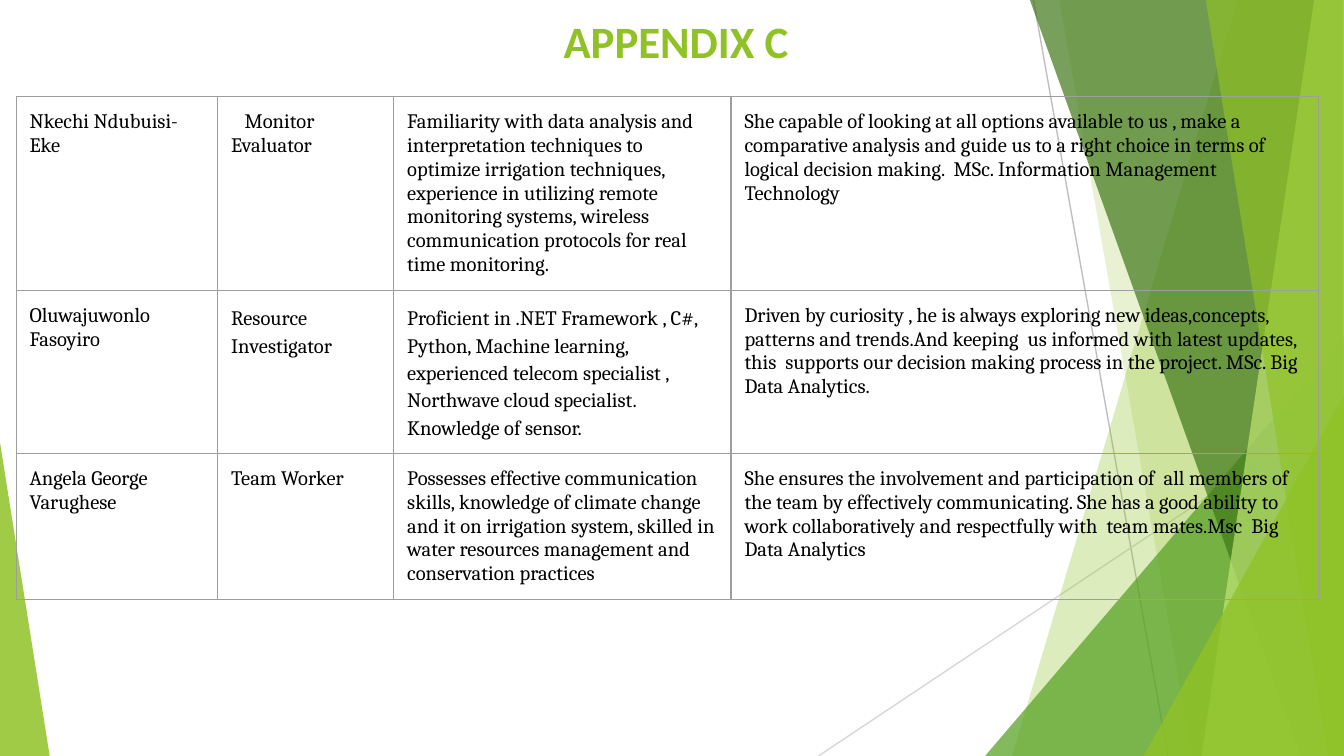
from pptx import Presentation
from pptx.util import Inches, Pt
from pptx.dml.color import RGBColor
from pptx.enum.shapes import MSO_CONNECTOR as Conn, MSO_SHAPE as Shape
from pptx.enum.text import PP_ALIGN as Align
from pptx.oxml.ns import qn
from lxml.etree import SubElement as Sub

WIDE = 10
HIGH = WIDE * 9 / 16
GREEN = "90C226"

ROWS = [
    ["Nkechi Ndubuisi-Eke", "Monitor Evaluator",
     "Familiarity with data analysis and interpretation techniques to optimize "
     "irrigation techniques, experience in utilizing remote monitoring systems, "
     "wireless communication protocols for real time monitoring.",
     "She capable of looking at all options available to us , make a comparative "
     "analysis and guide us to a right choice in terms of logical decision making.  "
     "MSc. Information Management Technology"],
    ["Oluwajuwonlo Fasoyiro", "Resource Investigator",
     "Proficient in .NET Framework , C#, Python, Machine learning, experienced "
     "telecom specialist , Northwave cloud specialist. Knowledge of sensor.",
     "Driven by curiosity , he is always exploring new ideas,concepts, patterns and "
     "trends.And keeping  us informed with latest updates, this  supports our "
     "decision making process in the project. MSc. Big Data Analytics."],
    ["Angela George Varughese", "Team Worker",
     "Possesses effective communication skills, knowledge of climate change and it "
     "on irrigation system, skilled in water resources management and conservation "
     "practices",
     "She ensures the involvement and participation of  all members of the team by "
     "effectively communicating. She has a good ability to work collaboratively and "
     "respectfully with  team mates.Msc  Big Data Analytics"],
]


def color(code):
    return RGBColor.from_string(code)


def paint(shape, code, alpha):
    """Flat, partly clear fill without outline or shadow."""
    shape.shadow.inherit = False
    shape.line.fill.background()
    shape.fill.solid()
    shape.fill.fore_color.rgb = color(code)
    tint = shape._element.spPr.find(qn("a:solidFill"))[0]
    Sub(tint, qn("a:alpha"), val=str(alpha * 1000))


def add_line(slide, start, end, code):
    line = slide.shapes.add_connector(
        Conn.STRAIGHT, *[Inches(v) for v in (*start, *end)])
    line.line.color.rgb = color(code)
    line.line.width = Pt(0.75)
    Sub(line._element.spPr, qn("a:effectLst"))


def add_band(slide, top, base, code, alpha):
    """Full-height band given its left and right edges at top and base."""
    points = [(top[0], -0.01), (top[1], -0.01), (base[1], HIGH), (base[0], HIGH)]
    points = [(Inches(x), Inches(y)) for x, y in points]
    pen = slide.shapes.build_freeform(*points[0])
    pen.add_line_segments(points[1:], close=True)
    paint(pen.convert_to_shape(), code, alpha)


def add_peak(slide, left, top, width, tip, code, alpha):
    """Triangle standing on the bottom edge of the slide."""
    peak = slide.shapes.add_shape(
        Shape.ISOSCELES_TRIANGLE, Inches(left), Inches(top),
        Inches(width), Inches(HIGH - top))
    peak.adjustments[0] = tip
    paint(peak, code, alpha)


def add_decor(slide):
    add_line(slide, (7.69, 0), (8.69, HIGH), "BFBFBF")
    add_line(slide, (WIDE, 3.02), (6.09, HIGH), "D8D8D8")
    add_band(slide, (9.21, WIDE), (7.53, WIDE), GREEN, 30)
    add_band(slide, (7.88, WIDE), (8.87, WIDE), GREEN, 20)
    add_peak(slide, 7.33, 2.5, 2.67, 1, "54A021", 72)
    add_band(slide, (7.66, 9.99), (9.68, 9.99), "3F7818", 70)
    add_band(slide, (9.78, WIDE), (8.94, WIDE), "BFE471", 70)
    add_band(slide, (8.97, WIDE), (9.88, WIDE), GREEN, 65)
    add_peak(slide, 8.51, 2.94, 1.49, 1, GREEN, 80)
    add_peak(slide, 0, 3.29, 0.37, 0, GREEN, 85)


def set_font(para, name, size, code, bold=False):
    font = para.font
    font.name, font.size, font.bold = name, Pt(size), bold
    font.color.rgb = color(code)


def set_inset(part, gap):
    part.margin_left = part.margin_right = Inches(gap)
    part.margin_top = part.margin_bottom = Inches(gap)


def fill_cell(cell, text):
    set_inset(cell, 0.1)
    cell.text = text
    set_font(cell.text_frame.paragraphs[0], "Cambria", 11, "000000")
    # Thin grey borders, then a clear fill
    props = cell._tc.get_or_add_tcPr()
    for side in "LRTB":
        edge = Sub(props, qn(f"a:ln{side}"), w=str(Pt(0.75)))
        Sub(Sub(edge, qn("a:solidFill")), qn("a:srgbClr"), val="9E9E9E")
    cell.fill.background()


def add_team(slide, left, top, widths, heights):
    table = slide.shapes.add_table(
        len(heights), len(widths), Inches(left), Inches(top),
        Inches(sum(widths)), Inches(sum(heights))).table
    table.first_row = table.horz_banding = False
    for col, width in zip(table.columns, widths):
        col.width = Inches(width)
    for row, height, texts in zip(table.rows, heights, ROWS):
        row.height = Inches(height)
        for cell, text in zip(row.cells, texts):
            fill_cell(cell, text)
    # Indented first role, looser lines in the second row
    role = table.cell(0, 1).text_frame.paragraphs[0]
    role._p.get_or_add_pPr().set("indent", str(Inches(0.1)))
    for col in (1, 2):
        table.cell(1, col).text_frame.paragraphs[0].line_spacing = 1.15


def add_title(slide, left, top, width, height):
    frame = slide.shapes.add_textbox(
        Inches(left), Inches(top), Inches(width), Inches(height)).text_frame
    frame.word_wrap = True
    set_inset(frame, 0.1)
    frame.margin_left = Inches(0.33)
    para = frame.paragraphs[0]
    para.text = "APPENDIX C"
    para.alignment = Align.CENTER
    set_font(para, "Calibri", 24, GREEN, True)


def main():
    deck = Presentation()
    deck.slide_width, deck.slide_height = Inches(WIDE), Inches(HIGH)
    slide = deck.slides.add_slide(deck.slide_layouts[6])
    add_decor(slide)
    add_team(slide, 0.12, 0.72, [1.5, 1.31, 2.51, 4.37], [1.44, 1.21, 1.08])
    add_title(slide, 0, 0, 9.83, 0.61)
    deck.save("out.pptx")


if __name__ == "__main__":
    main()
